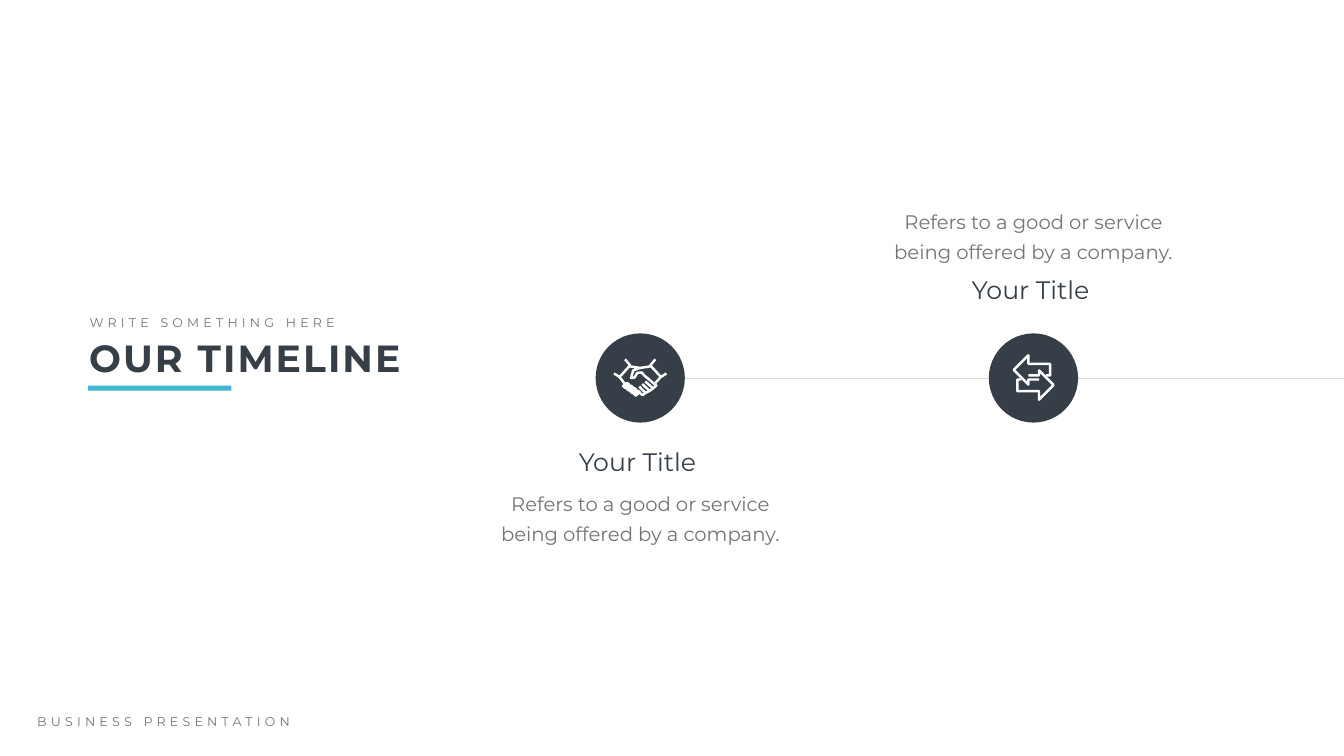
import pptx
import pptx.dml.color
import pptx.enum.shapes
import pptx.enum.text
import pptx.oxml.ns
import pptx.util
from lxml import etree
from pptx.util import Inches, Pt

COLORS = {"ink": "363E48", "grey": "737572", "accent": "40B8D1", "rule": "D9D9D9", "white": "FFFFFF"}
FONT = "Montserrat"
SLIDE_SIZE = (26.66, 15)
AXIS_Y = 7.5
CIRCLE = 1.77

STYLES = {
    "label": {"size": 18, "color": "grey", "spacing": 6},
    "heading": {"size": 54, "color": "ink", "bold": True, "spacing": 3},
    "title": {"size": 36, "color": "ink", "align": "CENTER"},
    "body": {"size": 28, "color": "grey", "align": "CENTER", "leading": 43, "insets": (0.24, 0.12)},
}

HEADER = [
    ("BUSINESS PRESENTATION", "label", (0.64, 14.12, 6.05, 0.4)),
    ("OUR TIMELINE", "heading", (1.67, 6.6, 7.43, 1.01)),
    ("WRITE SOMETHING HERE", "label", (1.68, 6.2, 5.18, 0.4)),
]
UNDERLINE = (1.75, 7.65, 2.84, 0.1)

CUFF = [(2, 30), (13, 37), (34, 14), (24, 2)]
GRIP = [(34, 16), (54, 19), (40, 24), (36, 39), (43, 38), (48, 29), (57, 28), (62, 34),
        (86, 54), (79, 60), (72, 65), (64, 69), (59, 73), (52, 68)]
SLEEVES = [[(54, 19), (74, 16)], [(94, 38), (84, 49)], [(13, 37), (23, 50)]]
FINGER_GAPS = [[(64 - 6 * n, 46 + 5 * n), (79 - 7 * n, 59 + 5 * n)] for n in range(3)]
KNUCKLE = [(28, 49), (20, 55), (24, 59), (32, 52), (28, 49)]
KNUCKLES = [[(x + 7 * n, y + 5 * n) for x, y in KNUCKLE] for n in range(4)]
HANDSHAKE = [CUFF, [(108 - x, y) for x, y in CUFF], GRIP, *SLEEVES, *FINGER_GAPS, *KNUCKLES]

ARROW = [(67, 43), (75, 43), (75, 20), (32, 20), (32, 3), (3, 32), (32, 61), (32, 51), (53, 51)]
ARROWS = [ARROW, [(85 - x, 94 - y) for x, y in ARROW]]

TITLE = "Your Title"
BODY = "Refers to a good or service being offered by a company."
MILESTONES = [
    {"center": 12.7, "title_top": 8.8, "body_top": 9.51, "icon": HANDSHAKE, "icon_at": (12.16, 7.11)},
    {"center": 20.5, "title_top": 5.4, "body_top": 3.92, "icon": ARROWS, "icon_at": (20.08, 7.02)},
]


def rgb(name):
    return pptx.dml.color.RGBColor.from_string(COLORS[name])


def add_filled(slide, kind, box, color):
    shape = slide.shapes.add_shape(kind, *map(Inches, box))
    shape.shadow.inherit = False
    shape.fill.solid()
    shape.fill.fore_color.rgb = rgb(color)
    shape.line.fill.background()


def add_text(slide, words, style_name, box):
    style = STYLES[style_name]
    frame = slide.shapes.add_textbox(*map(Inches, box)).text_frame
    side, end = map(Inches, style.get("insets", (0.1, 0.05)))
    frame_format = {"word_wrap": True, "auto_size": pptx.enum.text.MSO_AUTO_SIZE.SHAPE_TO_FIT_TEXT,
                    "margin_left": side, "margin_right": side, "margin_top": end, "margin_bottom": end}
    for key, value in frame_format.items():
        setattr(frame, key, value)
    paragraph = frame.paragraphs[0]
    paragraph.alignment = getattr(pptx.enum.text.PP_ALIGN, style.get("align", "LEFT"))
    if "leading" in style:
        paragraph.line_spacing = Pt(style["leading"])
    run = paragraph.add_run()
    run.text = words
    for key, value in {"name": FONT, "size": Pt(style["size"]), "bold": style.get("bold", False)}.items():
        setattr(run.font, key, value)
    run.font.color.rgb = rgb(style["color"])
    if "spacing" in style:
        run._r.get_or_add_rPr().set("spc", str(style["spacing"] * 100))


def add_icon(slide, strokes, corner):
    builder = slide.shapes.build_freeform(*strokes[0][0], scale=Inches(0.01))
    for stroke in strokes:
        builder.move_to(*stroke[0])
        builder.add_line_segments(stroke[1:], close=False)
    icon = builder.convert_to_shape(*map(Inches, corner))
    icon.shadow.inherit = False
    icon.fill.background()
    icon.line.color.rgb = rgb("white")
    icon.line.width = Pt(3.5)


def add_axis(slide):
    ends = (12.64, AXIS_Y, SLIDE_SIZE[0], AXIS_Y)
    axis = slide.shapes.add_connector(pptx.enum.shapes.MSO_CONNECTOR.STRAIGHT, *map(Inches, ends))
    axis.line.color.rgb = rgb("rule")
    axis.line.width = Pt(0.5)
    etree.SubElement(axis._element.spPr, pptx.oxml.ns.qn("a:effectLst"))


def main():
    deck = pptx.Presentation()
    deck.slide_width, deck.slide_height = map(Inches, SLIDE_SIZE)
    slide = deck.slides.add_slide(deck.slide_layouts[6])
    kinds = pptx.enum.shapes.MSO_SHAPE
    for words, style_name, box in HEADER:
        add_text(slide, words, style_name, box)
    add_filled(slide, kinds.RECTANGLE, UNDERLINE, "accent")
    add_axis(slide)
    for stop in MILESTONES:
        center = stop["center"]
        add_filled(slide, kinds.OVAL, (center - CIRCLE / 2, AXIS_Y - CIRCLE / 2, CIRCLE, CIRCLE), "ink")
        add_text(slide, BODY, "body", (center - 3.05, stop["body_top"], 6.1, 1.39))
        add_text(slide, TITLE, "title", (center - 2.46, stop["title_top"], 4.81, 0.71))
        add_icon(slide, stop["icon"], stop["icon_at"])
    deck.save("out.pptx")


if __name__ == "__main__":
    main()
